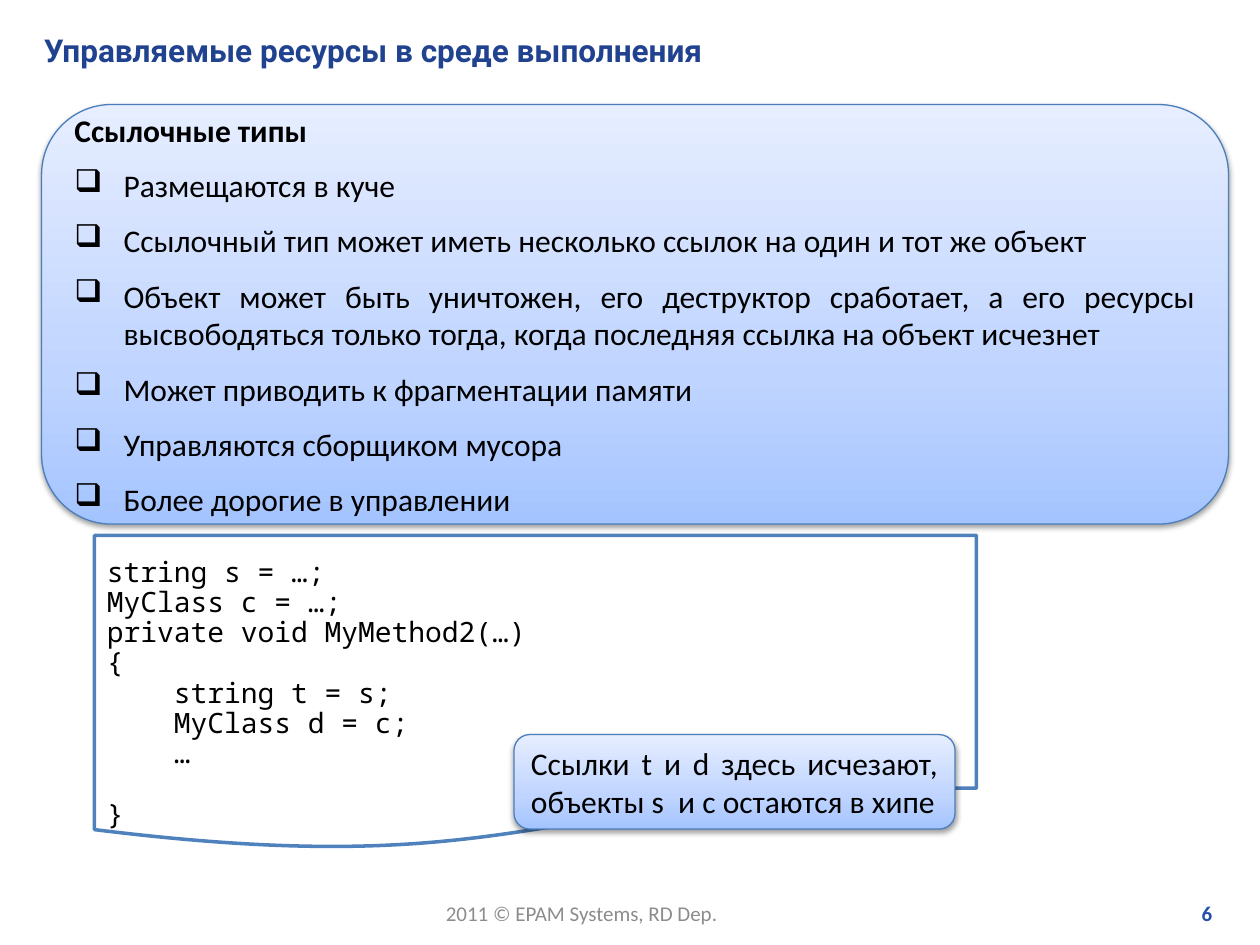
from copy import deepcopy

from lxml import etree
from pptx import Presentation
from pptx.dml.color import RGBColor
from pptx.enum.shapes import MSO_SHAPE
from pptx.enum.text import MSO_ANCHOR, PP_ALIGN
from pptx.oxml.ns import qn
from pptx.util import Inches, Pt

ROUNDED = MSO_SHAPE.ROUNDED_RECTANGLE
DOCUMENT = MSO_SHAPE.FLOWCHART_DOCUMENT
TOP, MIDDLE = MSO_ANCHOR.TOP, MSO_ANCHOR.MIDDLE
LEFT, RIGHT, JUSTIFY = PP_ALIGN.LEFT, PP_ALIGN.RIGHT, PP_ALIGN.JUSTIFY

THEME = {
    "title": ("Roboto", 18, "21438F", True),
    "heading": ("Calibri", 18, "000000", True),
    "body": ("Calibri", 18, "000000", False),
    "code": ("Noto Sans Mono", 16, "000000", False),
    "footer": ("Calibri", 12, "8C8C8C", False),
    "number": ("Calibri", 12, "2750AB", True),
    "gradient": [(0, "A4C4FF"), (0.35, "BFD4FF"), (1, "E6EEFF")],
    "card_line": "4B7EBC",
    "code_line": "4F81BD",
    "code_fill": "FFFFFF",
    "shadow": "000000",
}

TITLE = "Управляемые ресурсы в среде выполнения"
HEADING = "Ссылочные типы"
POINTS = [
    "Размещаются в куче",
    "Ссылочный тип может иметь несколько ссылок на один и тот же объект",
    "Объект может быть уничтожен, его деструктор сработает, а его ресурсы "
    "высвободяться только тогда, когда последняя ссылка на объект исчезнет",
    "Может приводить к фрагментации памяти",
    "Управляются сборщиком мусора",
    "Более дорогие в управлении",
]
CODE = [
    "string s = …;",
    "MyClass c = …;",
    "private void MyMethod2(…)",
    "{",
    "    string t = s;",
    "    MyClass d = c;",
    "    …",
    "}",
]
NOTE = "Ссылки t и d здесь исчезают, объекты s  и c остаются в хипе"
FOOTER = "2011 © EPAM Systems, RD Dep."
PAGE_NUMBER = "6"


def write(para, text, style, align=LEFT):
    para.text = text
    para.alignment = align
    name, size, color, bold = THEME[style]
    for span in para.runs:
        span.font.name = name
        span.font.size = Pt(size)
        span.font.bold = bold
        span.font.color.rgb = RGBColor.from_string(color)


def paragraphs(frame, count):
    return [frame.paragraphs[0]] + [frame.add_paragraph() for _ in range(count - 1)]


def add_bullet(para):
    properties = para._p.get_or_add_pPr()
    properties.set("marL", str(Inches(0.39)))
    properties.set("indent", str(Inches(-0.39)))
    etree.SubElement(properties, qn("a:buChar")).set("char", "❑")


def add_label(page, place, text, style, align=LEFT, anchor=TOP, wrap=True):
    box = page.shapes.add_textbox(*map(Inches, place))
    box.text_frame.word_wrap = wrap
    box.text_frame.vertical_anchor = anchor
    write(box.text_frame.paragraphs[0], text, style, align)


def add_panel(page, kind, place, line, width, anchor):
    panel = page.shapes.add_shape(kind, *map(Inches, place))
    panel.shadow.inherit = False
    panel.line.color.rgb = RGBColor.from_string(line)
    panel.line.width = Pt(width)
    panel.text_frame.word_wrap = True
    panel.text_frame.vertical_anchor = anchor
    return panel


def add_card(page, place):
    card = add_panel(page, ROUNDED, place, THEME["card_line"], 0.75, MIDDLE)
    card.fill.gradient()
    card.fill.gradient_angle = 90
    properties = card._element.spPr
    first = properties.find(".//" + qn("a:gs"))
    first.addnext(deepcopy(first))
    for stop, (position, color) in zip(card.fill.gradient_stops, THEME["gradient"]):
        stop.position = position
        stop.color.rgb = RGBColor.from_string(color)
    shadow = etree.SubElement(
        properties.find(qn("a:effectLst")), qn("a:outerShdw"),
        blurRad=str(Pt(3.1)), dist=str(Pt(1.6)), dir="5400000", rotWithShape="0")
    tint = etree.SubElement(shadow, qn("a:srgbClr"), val=THEME["shadow"])
    etree.SubElement(tint, qn("a:alpha"), val="38000")
    return card


def fill_card(card, items):
    paras = paragraphs(card.text_frame, len(items))
    for para, (text, style, bulleted) in zip(paras, items):
        if bulleted:
            add_bullet(para)
        para.space_after = Pt(10)
        write(para, text, style, JUSTIFY)


def add_code(page, place):
    panel = add_panel(page, DOCUMENT, place, THEME["code_line"], 2, TOP)
    panel.fill.solid()
    panel.fill.fore_color.rgb = RGBColor.from_string(THEME["code_fill"])
    panel.text_frame.margin_top = Inches(0.18)
    paras = paragraphs(panel.text_frame, len(CODE))
    for para, text in zip(paras, CODE):
        para.line_spacing = 0.9
        write(para, text, "code")
    paras[-1].space_before = Pt(17.5)


def main():
    """Build the slide on reference types and save it."""
    deck = Presentation()
    deck.slide_width, deck.slide_height = Inches(10), Inches(7.5)
    page = deck.slides.add_slide(deck.slide_layouts[6])
    add_label(page, (3.44, 7.1, 2.39, 0.3), FOOTER, "footer", wrap=False)
    add_label(page, (7.6, 7.1, 2.12, 0.3), PAGE_NUMBER, "number", RIGHT)
    add_label(page, (0.25, 0.2, 9.54, 0.4), TITLE, "title", anchor=MIDDLE)
    types_card = add_card(page, (0.33, 0.83, 9.42, 3.33))
    fill_card(types_card, [(HEADING, "heading", False)]
              + [(point, "body", True) for point in POINTS])
    add_code(page, (0.75, 4.25, 7, 2.5))
    note_card = add_card(page, (4.08, 5.83, 3.5, 0.75))
    fill_card(note_card, [(NOTE, "body", False)])
    deck.save("out.pptx")


if __name__ == "__main__":
    main()
